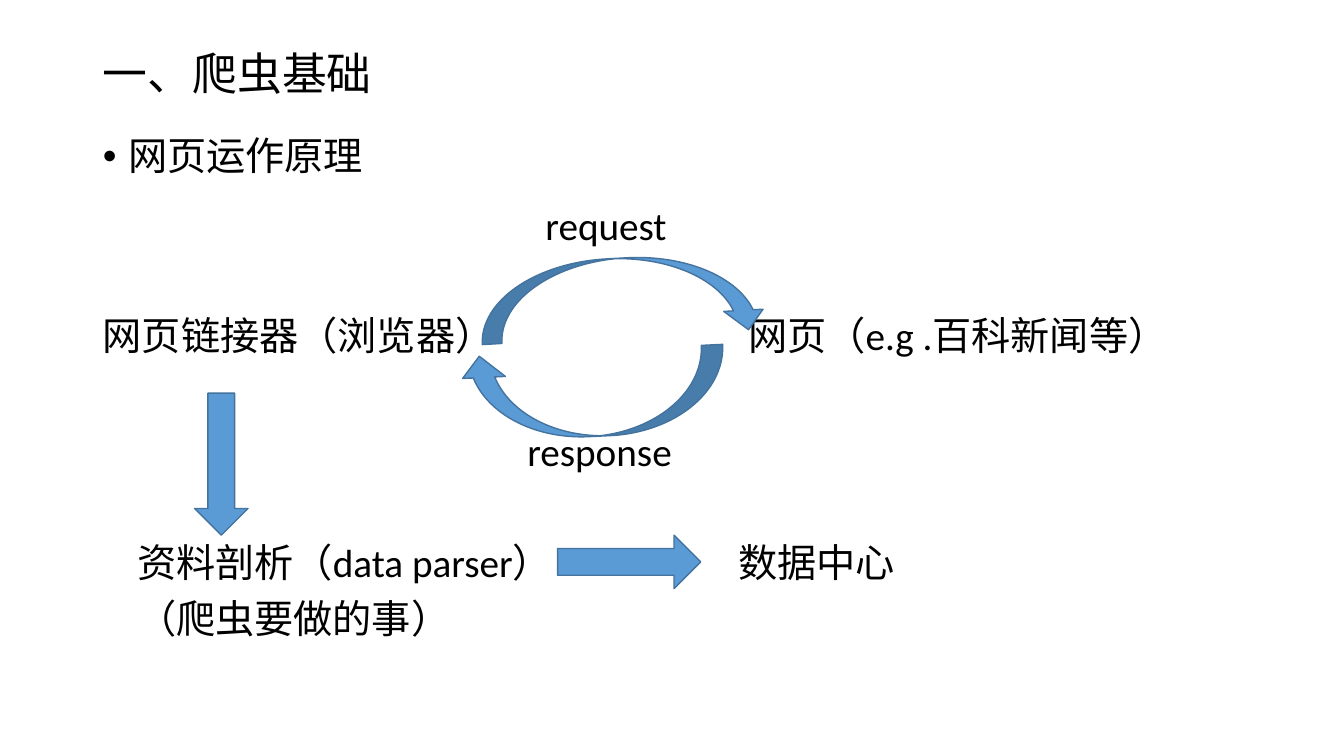
from pptx import Presentation
from pptx.dml.color import RGBColor
from pptx.enum.shapes import MSO_SHAPE
from pptx.enum.text import MSO_ANCHOR, MSO_AUTO_SIZE, PP_ALIGN
from pptx.util import Inches, Pt

CURVED = MSO_SHAPE.CURVED_LEFT_ARROW
DOWN = MSO_SHAPE.DOWN_ARROW
RIGHT = MSO_SHAPE.RIGHT_ARROW
MIDDLE, TOP = MSO_ANCHOR.MIDDLE, MSO_ANCHOR.TOP
NO_FIT = MSO_AUTO_SIZE.NONE
LEFT = PP_ALIGN.LEFT

COLORS = {"text": "000000", "arrow": "5B9BD5", "outline": "43739E"}
FONT = "Calibri"
ROW_H = 0.55

# text, left, middle of the row or rows, width
LABELS = [
    ("request", 5.41, 2.26, 1.6),
    ("网页链接器（浏览器）", 1.02, 3.35, 4.2),
    ("网页（e.g .百科新闻等）", 7.42, 3.35, 4.8),
    ("response", 5.23, 4.5, 1.8),
    ("资料剖析（data parser）\n（爬虫要做的事）", 1.36, 5.88, 4.5),
    ("数据中心", 7.32, 5.6, 2),
]

# preset, left, top, width, height, rotation
ARROWS = [
    (CURVED, 5.79, 1.53, 0.78, 2.84, 266.8),
    (CURVED, 5.45, 2.59, 0.85, 2.63, 87.2),
    (DOWN, 1.93, 3.9, 0.53, 1.41, 0),
    (RIGHT, 5.53, 5.31, 1.42, 0.53, 0),
]


def rgb(name):
    return RGBColor.from_string(COLORS[name])


def set_attrs(obj, values):
    for name, value in values.items():
        setattr(obj, name, value)


def write(tf, text, size, anchor):
    """Fill a text frame, one paragraph per line of text."""
    set_attrs(tf, {"text": text, "word_wrap": True, "auto_size": NO_FIT,
                   "vertical_anchor": anchor})
    for i, p in enumerate(tf.paragraphs):
        set_attrs(p, {"alignment": LEFT, "line_spacing": 0.9,
                      "space_before": Pt(10 if i else 0)})
        for r in p.runs:
            set_attrs(r.font, {"name": FONT, "size": Pt(size)})
            r.font.color.rgb = rgb("text")


def fill_placeholder(sp, text, size, anchor, top, height):
    set_attrs(sp, {"left": Inches(0.92), "top": Inches(top),
                   "width": Inches(11.5), "height": Inches(height)})
    write(sp.text_frame, text, size, anchor)


def set_hanging_indent(p, indent):
    pPr = p._p.get_or_add_pPr()
    pPr.set("marL", str(Inches(indent)))
    pPr.set("indent", str(-Inches(indent)))


def add_label(s, text, left, middle, width):
    height = ROW_H * len(text.split("\n"))
    sp = s.shapes.add_textbox(Inches(left), Inches(middle - height / 2),
                              Inches(width), Inches(height))
    tf = sp.text_frame
    set_attrs(tf, dict.fromkeys(
        ("margin_left", "margin_right", "margin_top", "margin_bottom"), 0))
    write(tf, text, 28, MIDDLE)


def add_arrow(s, preset, left, top, width, height, rotation):
    sp = s.shapes.add_shape(preset, Inches(left), Inches(top),
                            Inches(width), Inches(height))
    sp.rotation = rotation
    sp.shadow.inherit = False
    sp.fill.solid()
    sp.fill.fore_color.rgb = rgb("arrow")
    sp.line.color.rgb = rgb("outline")
    sp.line.width = Pt(1)


def main():
    prs = Presentation()
    prs.slide_width, prs.slide_height = Inches(13.33), Inches(7.5)
    s = prs.slides.add_slide(prs.slide_layouts[1])
    title, body = s.placeholders
    fill_placeholder(title, "一、爬虫基础", 32, MIDDLE, 0.4, 0.71)
    fill_placeholder(body, "网页运作原理", 28, TOP, 1.31, 0.65)
    set_hanging_indent(body.text_frame.paragraphs[0], 0.25)
    for label in LABELS:
        add_label(s, *label)
    for arrow in ARROWS:
        add_arrow(s, *arrow)
    prs.save("out.pptx")


if __name__ == "__main__":
    main()
